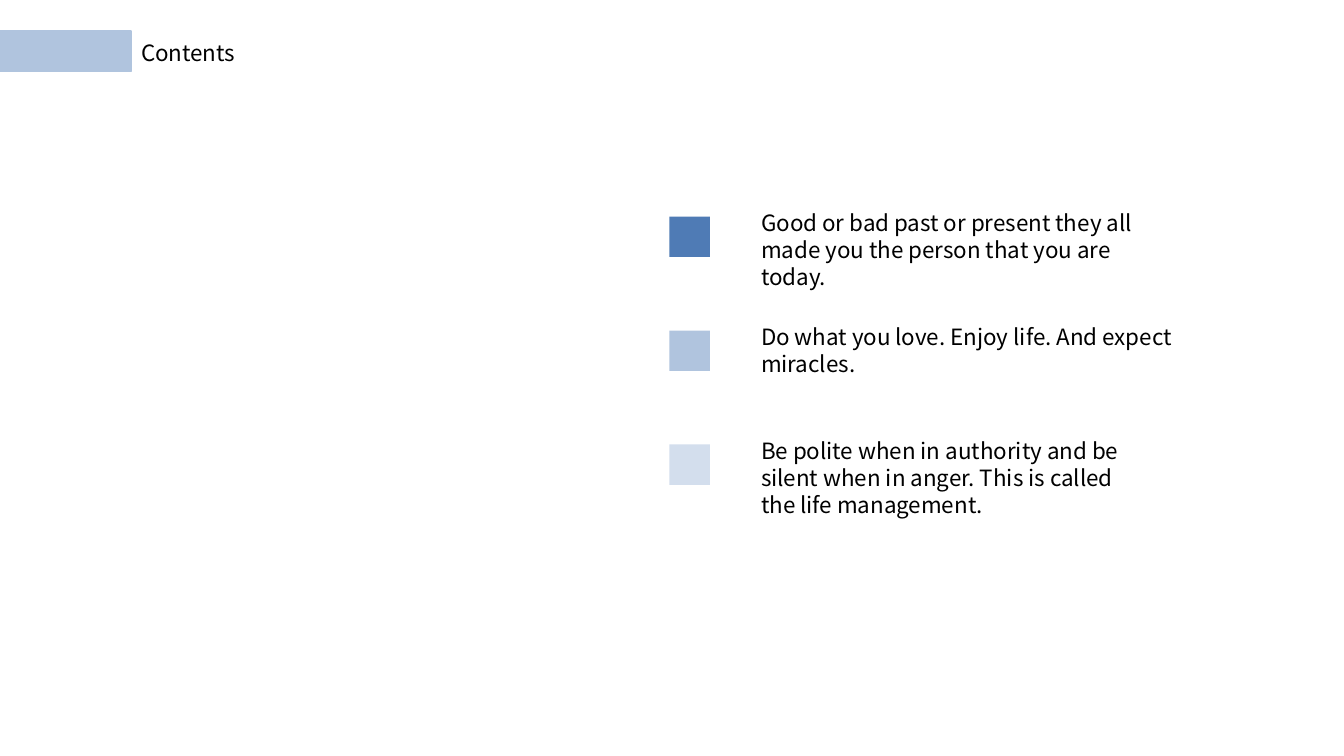
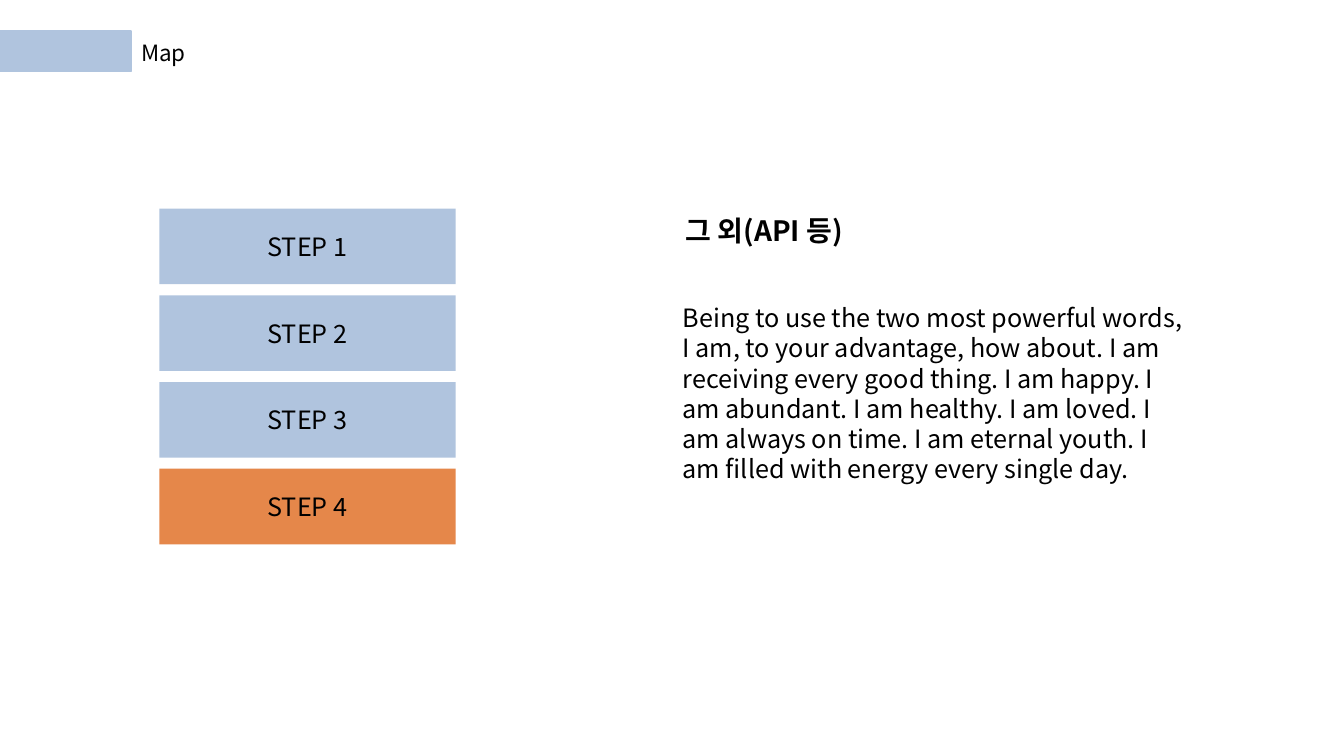
from lxml import etree
from pptx import Presentation
from pptx.dml.color import RGBColor
from pptx.enum import shapes, text
from pptx.oxml.ns import qn
from pptx.util import Inches, Pt

FONT = "Noto Sans CJK KR"
INK = "000000"
BLUE, LIGHT_BLUE, PALE_BLUE, ORANGE = "4F7BB5", "B0C4DE", "D3DEED", "E5874A"
TITLE_ONLY, TITLE_AND_BODY = 5, 1


def color(hex_value):
    return RGBColor.from_string(hex_value)


def place(sp, left, top, width, height):
    sp.left, sp.top = Inches(left), Inches(top)
    sp.width, sp.height = Inches(width), Inches(height)


def write(sp, words, size=16, bold=False, align=text.PP_ALIGN.LEFT,
          anchor=text.MSO_ANCHOR.TOP, wrap=True, grow=True):
    """Put one formatted, unbulleted paragraph into a shape."""
    tf = sp.text_frame
    tf.word_wrap = wrap
    tf.vertical_anchor = anchor
    tf.auto_size = (text.MSO_AUTO_SIZE.SHAPE_TO_FIT_TEXT if grow
                    else text.MSO_AUTO_SIZE.NONE)
    p = tf.paragraphs[0]
    p.alignment = align
    if sp.is_placeholder:
        p.space_before = Pt(0)
        pPr = p._p.get_or_add_pPr()
        pPr.set("marL", "0")
        pPr.set("indent", "0")
        etree.SubElement(pPr, qn("a:buNone"))
    r = p.add_run()
    r.text = words
    r.font.size, r.font.bold, r.font.name = Pt(size), bold, FONT
    r.font.color.rgb = color(INK)
    ea = etree.SubElement(r._r.get_or_add_rPr(), qn("a:ea"))
    ea.set("typeface", FONT)


def add_text(s, words, left, top, width, height, **fmt):
    sp = s.shapes.add_textbox(0, 0, 0, 0)
    place(sp, left, top, width, height)
    write(sp, words, **fmt)


def add_rect(s, left, top, width, height, fill, line=None):
    sp = s.shapes.add_shape(shapes.MSO_SHAPE.RECTANGLE, Inches(left),
                            Inches(top), Inches(width), Inches(height))
    sp.shadow.inherit = False
    sp.fill.solid()
    sp.fill.fore_color.rgb = color(fill)
    if line:
        sp.line.color.rgb = color(line)
        sp.line.width = Pt(1)
    else:
        sp.line.fill.background()
    return sp


def add_slide(prs, layout, title):
    """Add a slide with the shared band and title."""
    s = prs.slides.add_slide(prs.slide_layouts[layout])
    for sp in list(s.placeholders):
        if sp.placeholder_format.idx > 1:
            sp._element.getparent().remove(sp._element)
    add_rect(s, 0, 0.31, 1.3, 0.4, LIGHT_BLUE, line=LIGHT_BLUE)
    place(s.shapes.title, 1.3, 0.34, 4.18, 0.37)
    write(s.shapes.title, title)
    return s


def add_entries(s, left, top, entries, pitch=1.13, marker=0.4):
    for i, (fill, width, height, words) in enumerate(entries):
        y = top + i * pitch
        add_rect(s, left, y, marker, marker, fill)
        add_text(s, words, left + 0.81, y - 0.12, width, height)


def add_steps(s, left, top, width, fills, height=0.75, gap=0.11):
    for i, fill in enumerate(fills):
        sp = add_rect(s, left, top + i * (height + gap), width, height, fill)
        write(sp, f"STEP {i + 1}", size=18, align=text.PP_ALIGN.CENTER,
              anchor=text.MSO_ANCHOR.MIDDLE, grow=False)


def add_explanation(s, left, top, heading, words):
    add_text(s, heading, left + 0.03, top, 1.89, 0.44,
             size=20, bold=True, wrap=False)
    body = s.placeholders[1]
    place(body, left, top + 0.88, 5.18, 2.22)
    write(body, words, size=18)


def contents_slide(prs):
    s = add_slide(prs, TITLE_ONLY, "Contents")
    add_entries(s, 6.64, 2.15, [
        (BLUE, 4.18, 0.91, "Good or bad past or present they all made you "
                           "the person that you are today."),
        (LIGHT_BLUE, 4.54, 0.64, "Do what you love. Enjoy life. And expect "
                                 "miracles."),
        (PALE_BLUE, 3.93, 0.91, "Be polite when in authority and be silent "
                                "when in anger. This is called the life "
                                "management."),
    ])


def map_slide(prs):
    s = add_slide(prs, TITLE_AND_BODY, "Map")
    add_steps(s, 1.58, 2.07, 2.94, [LIGHT_BLUE] * 3 + [ORANGE])
    add_explanation(
        s, 6.67, 2.07, "그 외(API 등)",
        "Being to use the two most powerful words, I am, to your advantage, "
        "how about. I am receiving every good thing. I am happy. I am "
        "abundant. I am healthy. I am loved. I am always on time. I am "
        "eternal youth. I am filled with energy every single day.")


def main():
    prs = Presentation()
    prs.slide_width, prs.slide_height = Inches(13.33), Inches(7.5)
    contents_slide(prs)
    map_slide(prs)
    prs.save("out.pptx")


if __name__ == "__main__":
    main()
